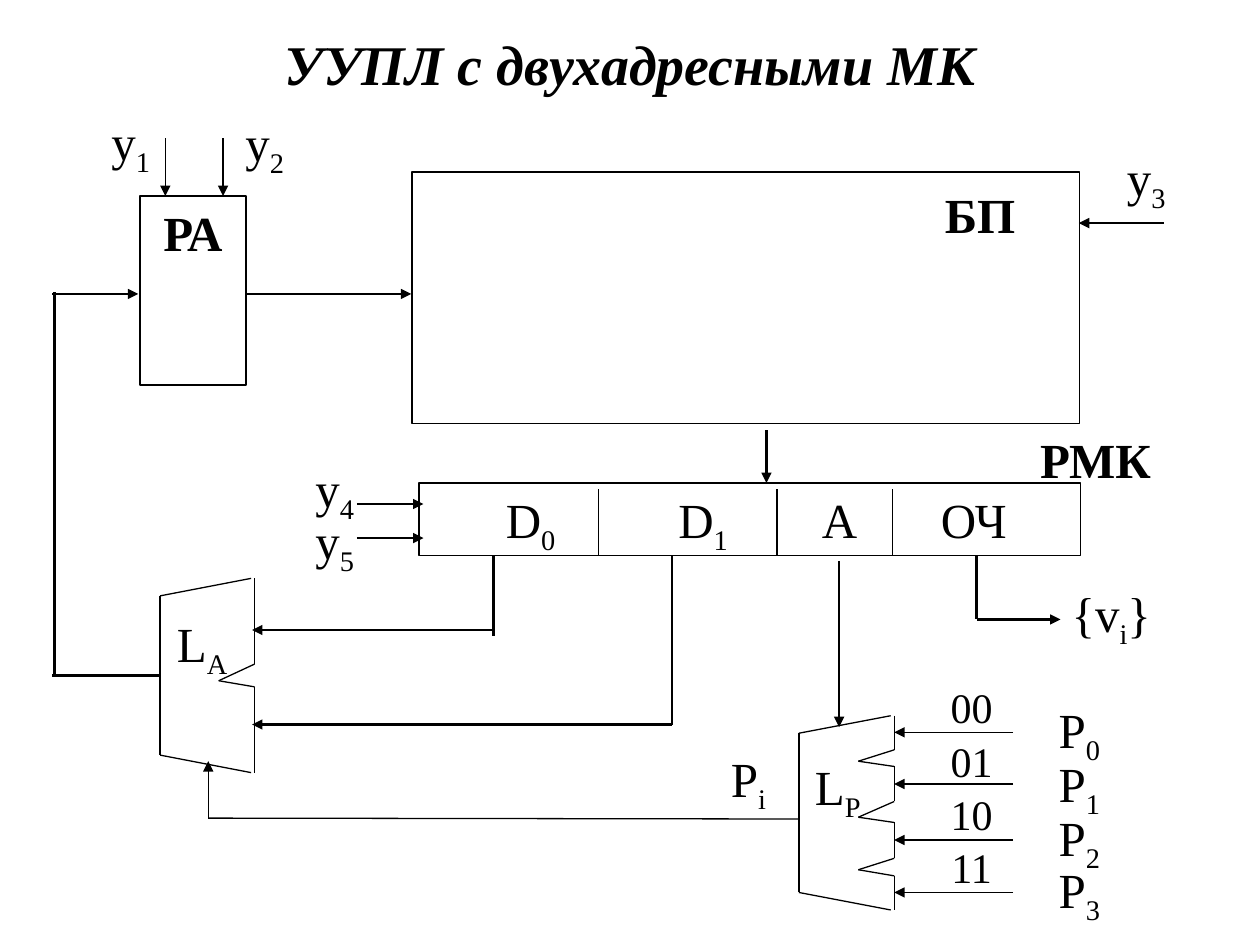
import pptx
import pptx.dml.color
import pptx.enum.shapes
import pptx.enum.text
import pptx.oxml.ns
import pptx.util
from lxml import etree
from typing import Any, NamedTuple

Pt = pptx.util.Pt
qn = pptx.oxml.ns.qn
BLACK = pptx.dml.color.RGBColor(0, 0, 0)
FONT_NAME = "Times New Roman"
THIN, OUTLINE, BUS = 0.75, 1, 1.5
CENTER = pptx.enum.text.PP_ALIGN.CENTER
LEFT = pptx.enum.text.PP_ALIGN.LEFT


class Label(NamedTuple):
    left: float
    top: float
    width: float
    text: str
    subscript: str = ""
    ending: str = ""
    size: float = 28
    bold: bool = False


class Line(NamedTuple):
    x1: float
    y1: float
    x2: float
    y2: float
    width: float = THIN
    arrow: bool = False


class Multiplexer(NamedTuple):
    left: float
    right: float
    top: float
    bottom: float
    notches: list[tuple[float, float, float]]  # upper edge, tip, lower edge


def add_span(para: Any, text: str, subscript: bool = False, **changes: Any) -> None:
    span = para.add_run()
    span.text = text
    span.font.color.rgb = BLACK
    values = {"name": FONT_NAME, "size": Pt(28), "bold": False, "italic": False}
    for name, value in (values | changes).items():
        setattr(span.font, name, value)
    if subscript:
        span.font._element.set("baseline", "-25000")


def prepare_frame(box: Any, alignment: Any = CENTER) -> Any:
    frame = box.text_frame
    values = {
        "word_wrap": True,
        "vertical_anchor": pptx.enum.text.MSO_ANCHOR.TOP,
        "margin_left": Pt(7.2), "margin_right": Pt(7.2),
        "margin_top": Pt(3.6), "margin_bottom": Pt(3.6),
    }
    for name, value in values.items():
        setattr(frame, name, value)
    frame.paragraphs[0].alignment = alignment
    return frame.paragraphs[0]


def draw_label(page: Any, label: Label) -> None:
    box = page.shapes.add_textbox(Pt(label.left), Pt(label.top), Pt(label.width), Pt(39))
    para = prepare_frame(box)
    style = {"size": Pt(label.size), "bold": label.bold}
    add_span(para, label.text, **style)
    if label.subscript:
        add_span(para, label.subscript, subscript=True, **style)
    if label.ending:
        add_span(para, label.ending, **style)


def draw_block(page: Any, left: float, top: float, width: float, height: float) -> Any:
    block = page.shapes.add_shape(
        pptx.enum.shapes.MSO_SHAPE.RECTANGLE, Pt(left), Pt(top), Pt(width), Pt(height))
    block.shadow.inherit = False
    block.fill.background()
    block.line.color.rgb = BLACK
    block.line.width = Pt(OUTLINE)
    return block


def draw_line(page: Any, line: Line) -> None:
    connector = page.shapes.add_connector(
        pptx.enum.shapes.MSO_CONNECTOR.STRAIGHT,
        Pt(line.x1), Pt(line.y1), Pt(line.x2), Pt(line.y2))
    connector.line.color.rgb = BLACK
    connector.line.width = Pt(line.width)
    properties = connector._element.spPr
    if line.arrow:
        etree.SubElement(properties.find(qn("a:ln")), qn("a:tailEnd"), type="triangle")
    etree.SubElement(properties, qn("a:effectLst"))


def draw_multiplexer(page: Any, mux: Multiplexer) -> None:
    slope, depth, gap = 10, 20.5, 2
    upper, lower = mux.top + slope, mux.bottom - slope
    draw_line(page, Line(mux.left, upper, mux.left, lower))
    draw_line(page, Line(mux.right - gap, mux.top, mux.left, upper))
    draw_line(page, Line(mux.right - gap, mux.bottom, mux.left, lower))
    start = mux.top
    for above, tip, below in mux.notches:
        draw_line(page, Line(mux.right, start, mux.right, above))
        draw_line(page, Line(mux.right, above, mux.right - depth, tip))
        draw_line(page, Line(mux.right, below, mux.right - depth, tip))
        start = below
    draw_line(page, Line(mux.right, start, mux.right, mux.bottom))


def draw_register(page: Any) -> None:
    para = prepare_frame(draw_block(page, 239.5, 276, 378, 41.5), LEFT)
    tabs = etree.SubElement(para._p.get_or_add_pPr(), qn("a:tabLst"))
    for stop in (42.5, 141, 223, 291):
        etree.SubElement(tabs, qn("a:tab"), pos=str(Pt(stop)), algn="l")
    for name, subscript in (("D", "0"), ("D", "1"), ("A", ""), ("ОЧ", "")):
        add_span(para, "\t" + name)
        if subscript:
            add_span(para, subscript, subscript=True)
    for x in (342, 444, 510):
        draw_line(page, Line(x, 279.5, x, 317))


LABELS = [
    Label(39.5, 60, 70.5, "y", "1"),
    Label(116, 60.5, 70.5, "y", "2"),
    Label(602, 80.5, 106, "y", "3"),
    Label(156, 258.5, 70.5, "y", "4"),
    Label(156, 288, 70.5, "y", "5"),
    Label(503.5, 102, 113, "БП", bold=True),
    Label(569.5, 242, 113, "РМК", bold=True),
    Label(78, 347, 75, "L", "A"),
    Label(445, 428.5, 67.5, "L", "P"),
    Label(394, 424, 67.5, "P", "i"),
    Label(582, 330, 106, "{v", "i", "}"),
]

LINES = [
    # Control signals
    Line(94.5, 79, 94.5, 112, arrow=True),
    Line(127.5, 79, 127.5, 112, arrow=True),
    Line(665, 127.5, 616.5, 127.5, arrow=True),
    Line(204, 288, 242, 288, arrow=True),
    Line(204, 307.5, 242, 307.5, arrow=True),
    # Address and memory buses
    Line(140.5, 168, 235, 168, BUS, True),
    Line(438, 246, 438, 276, BUS, True),
    # Register field outputs
    Line(282, 318, 282, 363.5, BUS),
    Line(282, 360, 144, 360, BUS, True),
    Line(384, 318, 384, 414, BUS),
    Line(384, 414, 144, 414, BUS, True),
    Line(479.5, 320.5, 479.5, 415.5, BUS, True),
    Line(558, 318, 558, 354, BUS),
    Line(558, 354, 606, 354, BUS, True),
    # Next address feedback
    Line(91.5, 386, 30, 386, BUS),
    Line(31, 167, 31, 386, BUS),
    Line(30, 168, 79, 168, BUS, True),
    # Selected condition
    Line(456, 468, 119, 467.5),
    Line(119, 467.5, 119, 435, arrow=True),
]

MULTIPLEXERS = [
    Multiplexer(91.5, 145.5, 330.5, 441.5, [(379.5, 389, 392.5)]),
    Multiplexer(456.5, 511, 409, 520, [
        (428.5, 435, 438), (458, 467, 470), (490.5, 497, 500.5)]),
]

# Code, code top, arrow height, condition top
CONDITIONS = [("00", 386, 418.5, 396), ("01", 417, 448, 427),
              ("10", 447, 480, 458), ("11", 477.5, 510, 487.5)]


def main() -> None:
    deck = pptx.Presentation()
    deck.slide_width, deck.slide_height = Pt(720), Pt(540)
    page = deck.slides.add_slide(deck.slide_layouts[5])

    # Title
    title = page.shapes.title
    place = {"left": Pt(54), "top": Pt(12), "width": Pt(612), "height": Pt(48)}
    for name, value in place.items():
        setattr(title, name, value)
    para = prepare_frame(title)
    title.text_frame.vertical_anchor = pptx.enum.text.MSO_ANCHOR.MIDDLE
    add_span(para, "УУПЛ с двухадресными МК", size=Pt(32), bold=True, italic=True)

    # Blocks
    address_register = draw_block(page, 80, 112, 60.5, 108)
    add_span(prepare_frame(address_register), "РА", bold=True)
    draw_block(page, 235.5, 98.5, 381.5, 143.5)
    draw_register(page)

    # Multiplexers, connections and labels
    for mux in MULTIPLEXERS:
        draw_multiplexer(page, mux)
    for line in LINES:
        draw_line(page, line)
    for label in LABELS:
        draw_label(page, label)

    # Condition inputs
    for index, (code, code_top, arrow_y, condition_top) in enumerate(CONDITIONS):
        draw_line(page, Line(579, arrow_y, 511, arrow_y, arrow=True))
        draw_label(page, Label(511, code_top, 88.5, code, size=24))
        draw_label(page, Label(572.5, condition_top, 88.5, "P", str(index)))

    deck.save("out.pptx")


if __name__ == "__main__":
    main()
